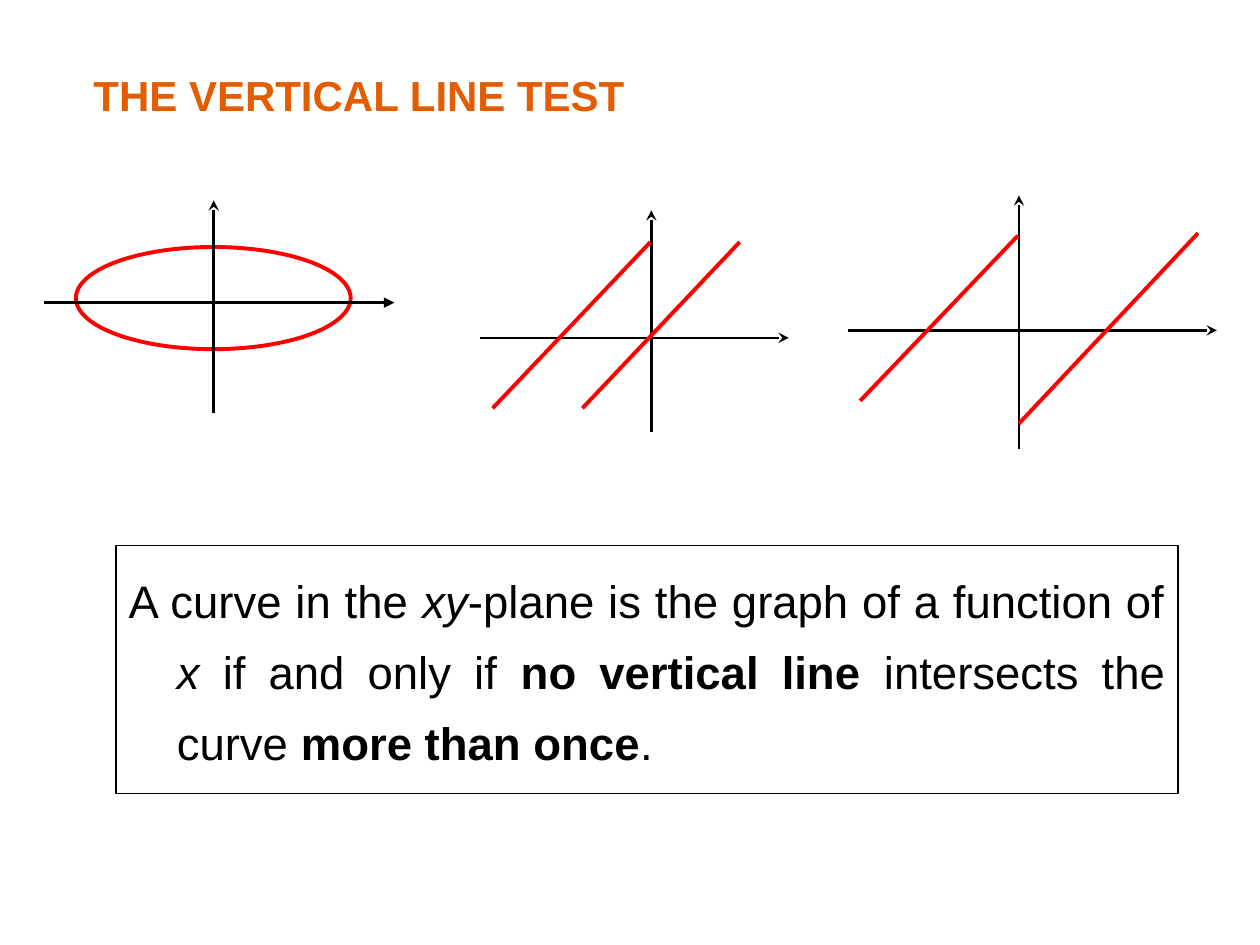
import pptx
import pptx.dml.color
import pptx.enum.shapes
import pptx.enum.text
import pptx.oxml
import pptx.oxml.ns
import pptx.util

Cm, Pt = pptx.util.Cm, pptx.util.Pt
RGBColor = pptx.dml.color.RGBColor

ORANGE = RGBColor(0xE4, 0x5C, 0x00)
RED = RGBColor(0xFF, 0x00, 0x00)
BLACK = RGBColor(0x00, 0x00, 0x00)
WHITE = RGBColor(0xFF, 0xFF, 0xFF)


def add_element(parent, tag, **attributes):
    element = pptx.oxml.parse_xml(f"<{tag} {pptx.oxml.ns.nsdecls('a')}/>")
    for key, value in attributes.items():
        element.set(key, str(value))
    parent.append(element)


def place(shape, box):
    shape.left, shape.top, shape.width, shape.height = (Cm(v) for v in box)


def add_run(paragraph, text, size=24, color=BLACK, bold=False, italic=False):
    run = paragraph.add_run()
    run.text = text
    font = run.font
    font.name, font.size = "Arial", Pt(size)
    font.bold, font.italic = bold, italic
    font.color.rgb = color


def first_paragraph(placeholder, line_spacing):
    frame = placeholder.text_frame
    frame.auto_size = pptx.enum.text.MSO_AUTO_SIZE.NONE
    frame.vertical_anchor = pptx.enum.text.MSO_ANCHOR.TOP
    frame.word_wrap = True
    paragraph = frame.paragraphs[0]
    paragraph.alignment = pptx.enum.text.PP_ALIGN.JUSTIFY
    paragraph.line_spacing = line_spacing
    paragraph.space_before = Pt(0)
    return paragraph


def fill_title(title, box):
    place(title, box)
    add_run(first_paragraph(title, 1.2), "THE VERTICAL LINE TEST",
            color=ORANGE, bold=True)


def fill_statement(statement, box):
    place(statement, box)
    statement.fill.solid()
    statement.fill.fore_color.rgb = WHITE
    statement.line.color.rgb = BLACK
    statement.line.width = Pt(0.75)
    statement.text_frame.margin_top = Cm(0.23)

    # Hanging indent without a bullet
    paragraph = first_paragraph(statement, 1.3)
    properties = paragraph._p.get_or_add_pPr()
    properties.set("marL", str(Cm(0.97)))
    properties.set("indent", str(-Cm(0.97)))
    add_element(properties, "a:buNone")

    for text, style in (
        ("A curve in the ", {}),
        ("xy", {"italic": True}),
        ("-plane is the graph of a function of ", {}),
        ("x ", {"italic": True}),
        ("if and only if ", {}),
        ("no vertical line", {"bold": True}),
        (" intersects the curve ", {}),
        ("more than once", {"bold": True}),
        (".", {}),
    ):
        add_run(paragraph, text, size=26, **style)


def add_line(group, box, start, end, color, width, arrow=None):
    left, top = box[:2]
    line = group.shapes.add_connector(
        pptx.enum.shapes.MSO_CONNECTOR.STRAIGHT,
        Cm(left + start[0]), Cm(top + start[1]),
        Cm(left + end[0]), Cm(top + end[1]))
    line.line.color.rgb = color
    line.line.width = Pt(width)
    if arrow:
        add_element(line.line._get_or_add_ln(), "a:tailEnd", type=arrow)
    add_element(line._element.spPr, "a:effectLst")


def add_axes(group, box, origin, x_arrow="stealth"):
    width, height = box[2:]
    add_line(group, box, (0, origin[1]), (width, origin[1]), BLACK, 1.5, x_arrow)
    add_line(group, box, (origin[0], height), (origin[0], 0), BLACK, 1.5, "stealth")


def draw_ellipse_graph(slide, box, origin, ellipse_box):
    group = slide.shapes.add_group_shape()
    left, top, width, height = ellipse_box
    ellipse = group.shapes.add_shape(
        pptx.enum.shapes.MSO_SHAPE.OVAL,
        Cm(box[0] + left), Cm(box[1] + top), Cm(width), Cm(height))
    ellipse.shadow.inherit = False
    ellipse.fill.background()
    ellipse.line.color.rgb = RED
    ellipse.line.width = Pt(2.25)
    add_axes(group, box, origin, x_arrow="triangle")


def draw_segment_graph(slide, box, origin, segments):
    group = slide.shapes.add_group_shape()
    add_axes(group, box, origin)
    for start, end in segments:
        add_line(group, box, start, end, RED, 2.25)


def main():
    presentation = pptx.Presentation()
    presentation.slide_width, presentation.slide_height = Cm(25.4), Cm(19.05)
    slide = presentation.slides.add_slide(presentation.slide_layouts[1])

    # Title and statement of the test
    fill_title(slide.shapes.title, (1.63, 1.07, 18.42, 1.47))
    fill_statement(slide.placeholders[1], (2.34, 11, 21.41, 5))

    # Three example curves
    draw_ellipse_graph(slide, (0.89, 4.04, 7.06, 4.29), (3.42, 2.06),
                       (0.64, 0.94, 5.54, 2.06))
    draw_segment_graph(slide, (17.09, 3.94, 7.44, 5.11), (3.45, 2.72),
                       [((0.25, 4.14), (3.43, 0.81)),
                        ((3.45, 4.6), (7.06, 0.76))])
    draw_segment_graph(slide, (9.68, 4.24, 6.22, 4.47), (3.45, 2.57),
                       [((0.25, 3.99), (3.43, 0.64)),
                        ((2.06, 3.99), (5.23, 0.64))])

    presentation.save("out.pptx")


if __name__ == "__main__":
    main()
